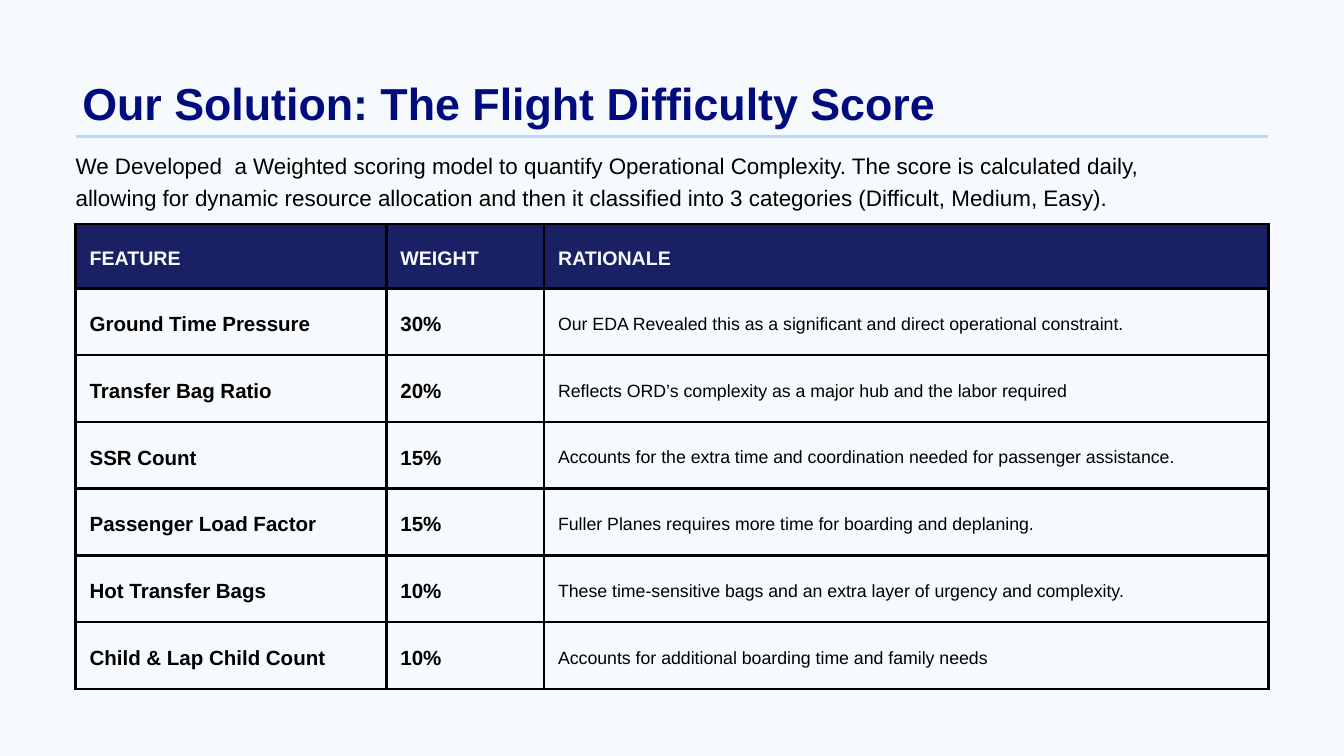
from lxml.etree import SubElement
from pptx import Presentation
from pptx.dml.color import RGBColor
from pptx.enum.shapes import MSO_CONNECTOR
from pptx.enum.text import MSO_ANCHOR, MSO_AUTO_SIZE, PP_ALIGN
from pptx.oxml.ns import qn
from pptx.util import Pt

TITLE = "Our Solution: The Flight Difficulty Score "
INTRO = (
    "We Developed  a Weighted scoring model to quantify Operational Complexity. "
    "The score is calculated daily, allowing for dynamic resource allocation and "
    "then it classified into 3 categories (Difficult, Medium, Easy)."
)
HEADERS = ("FEATURE", "WEIGHT", "RATIONALE")
FEATURES = [
    ("Ground Time Pressure", "30%",
     "Our EDA Revealed this as a significant and direct operational constraint."),
    ("Transfer Bag Ratio", "20%",
     "Reflects ORD’s complexity as a major hub and the labor required"),
    ("SSR Count", "15%",
     "Accounts for the extra time and coordination needed for passenger assistance."),
    ("Passenger Load Factor", "15%",
     "Fuller Planes requires more time for boarding and deplaning."),
    ("Hot Transfer Bags", "10%",
     "These time-sensitive bags and an extra layer of urgency and complexity."),
    ("Child & Lap Child Count", "10%",
     "Accounts for additional boarding time and family needs"),
]

BACKGROUND, NAVY, TITLE_BLUE, RULE_BLUE, BLACK = "F7FAFC", "192064", "000C7D", "BDD7FF", "000000"
LEFT, TABLE_TOP = 81, 240
COLUMN_WIDTHS = (333, 169, 776)
HEADER_HEIGHT, ROW_HEIGHT = 69, 71.5
CELL_MARGIN, LINE_WIDTH, LINE_SPACING = 15, 3, 1.4


def color(hex_string):
    return RGBColor.from_string(hex_string)


def write(frame, text, size, hex_string, bold=False, align=PP_ALIGN.LEFT):
    frame.text = text
    paragraph = frame.paragraphs[0]
    paragraph.alignment = align
    paragraph.line_spacing = Pt(size * LINE_SPACING)
    font = paragraph.font
    font.name, font.size, font.bold = "Arial", Pt(size), bold
    font.color.rgb = color(hex_string)


def place(shape, left, top, width, height):
    shape.left, shape.top, shape.width, shape.height = map(Pt, (left, top, width, height))
    frame = shape.text_frame
    frame.margin_left = frame.margin_right = frame.margin_top = frame.margin_bottom = 0
    frame.word_wrap = True
    frame.auto_size = MSO_AUTO_SIZE.NONE
    frame.vertical_anchor = MSO_ANCHOR.TOP
    return frame


def add_borders(cell):
    properties = cell._tc.get_or_add_tcPr()
    for side in ("lnL", "lnR", "lnT", "lnB"):
        line = SubElement(properties, qn(f"a:{side}"), w=str(Pt(LINE_WIDTH)))
        SubElement(SubElement(line, qn("a:solidFill")), qn("a:srgbClr"), val=BLACK)


def format_cell(cell, text, size, text_color, fill_color, bold):
    add_borders(cell)
    cell.fill.solid()
    cell.fill.fore_color.rgb = color(fill_color)
    cell.margin_left = cell.margin_right = cell.margin_top = cell.margin_bottom = Pt(CELL_MARGIN)
    cell.vertical_anchor = MSO_ANCHOR.MIDDLE
    write(cell.text_frame, text, size, text_color, bold)


def add_feature_table(slide):
    rows = [HEADERS, *FEATURES]
    height = HEADER_HEIGHT + ROW_HEIGHT * len(FEATURES)
    table = slide.shapes.add_table(
        len(rows), len(HEADERS), Pt(LEFT), Pt(TABLE_TOP), Pt(sum(COLUMN_WIDTHS)), Pt(height)
    ).table
    table.first_row = table.horz_banding = False
    for column, width in zip(table.columns, COLUMN_WIDTHS):
        column.width = Pt(width)
    for row_index, texts in enumerate(rows):
        is_header = row_index == 0
        table.rows[row_index].height = Pt(HEADER_HEIGHT if is_header else ROW_HEIGHT)
        for column_index, text in enumerate(texts):
            cell = table.cell(row_index, column_index)
            if is_header:
                format_cell(cell, text, 21, BACKGROUND, NAVY, True)
            else:
                is_rationale = column_index == 2
                format_cell(cell, text, 19 if is_rationale else 22, BLACK, BACKGROUND, not is_rationale)


def add_rule(slide, top):
    right = LEFT + sum(COLUMN_WIDTHS)
    rule = slide.shapes.add_connector(MSO_CONNECTOR.STRAIGHT, Pt(LEFT), Pt(top), Pt(right), Pt(top))
    rule.line.color.rgb = color(RULE_BLUE)
    rule.line.width = Pt(LINE_WIDTH)
    SubElement(rule._element.spPr, qn("a:effectLst"))


def main():
    """Build the flight difficulty score slide."""
    presentation = Presentation()
    presentation.slide_width, presentation.slide_height = Pt(1440), Pt(810)
    slide = presentation.slides.add_slide(presentation.slide_layouts[5])
    slide.background.fill.solid()
    slide.background.fill.fore_color.rgb = color(BACKGROUND)

    add_rule(slide, 146)
    add_feature_table(slide)
    title_frame = place(slide.shapes.title, 0, 72, 1104.5, 66)
    write(title_frame, TITLE, 48, TITLE_BLUE, True, PP_ALIGN.CENTER)
    intro = slide.shapes.add_textbox(0, 0, 0, 0)
    write(place(intro, LEFT, 158.4, 1166.4, 65.5), INTRO, 24, BLACK)
    presentation.save("out.pptx")


if __name__ == "__main__":
    main()
